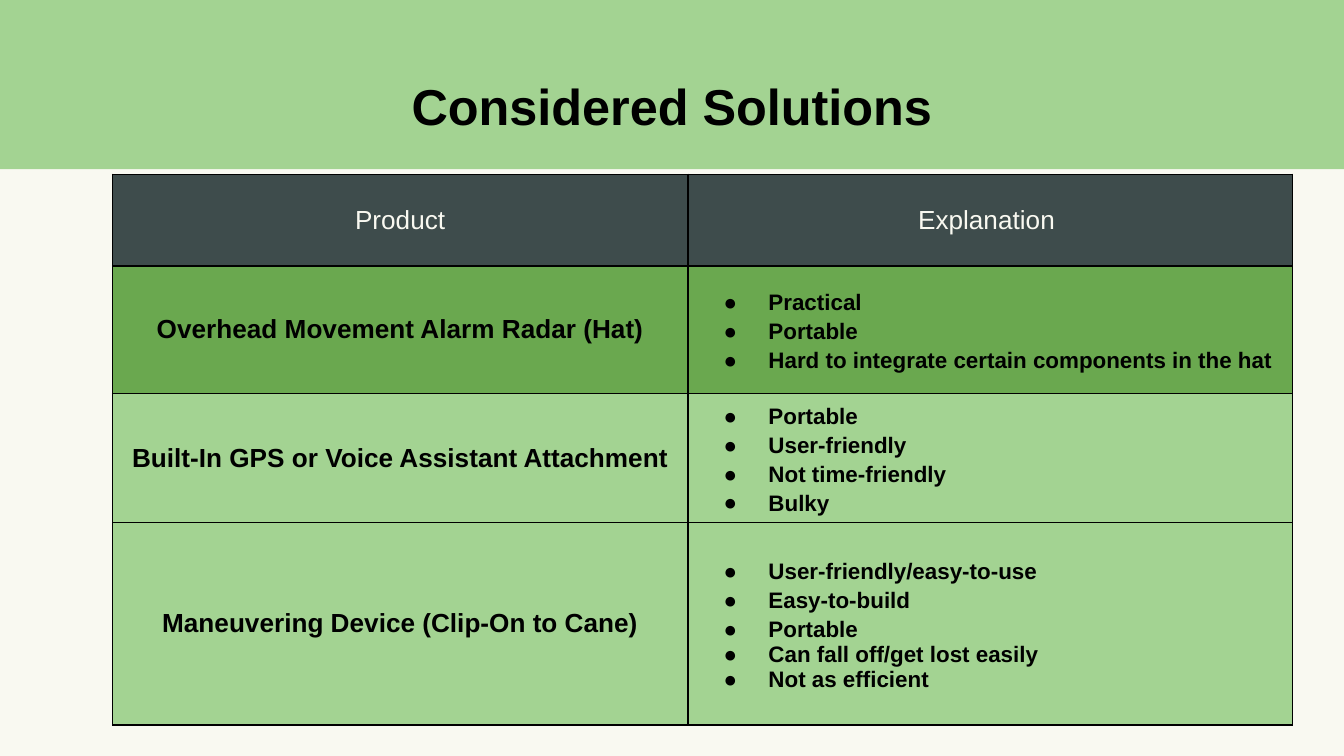
import pptx
import pptx.dml.color
import pptx.enum.shapes
import pptx.enum.text
import pptx.oxml
import pptx.oxml.ns
import pptx.util

Pt = pptx.util.Pt
ALIGN = pptx.enum.text.PP_ALIGN
MIDDLE = pptx.enum.text.MSO_ANCHOR.MIDDLE

COLORS = {
    "paper": "F9F9F1",
    "light": "A3D392",
    "green": "6AA84F",
    "slate": "3E4C4C",
    "ink": "000000",
}
FONT = "Arial"
COL_WIDTHS = [308.2, 324]
ROW_HEIGHTS = [49, 68.4, 68.4, 108.5]
HEADERS = ["Product", "Explanation "]

# Product, row colour, explanation points, number of points with wide spacing
PRODUCTS = [
    ("Overhead Movement Alarm Radar (Hat)", "green",
     ["Practical", "Portable",
      "Hard to integrate certain components in the hat"], 3),
    ("Built-In GPS or Voice Assistant Attachment", "light",
     ["Portable", "User-friendly", "Not time-friendly", "Bulky"], 4),
    ("Maneuvering Device (Clip-On to Cane)", "light",
     ["User-friendly/easy-to-use", "Easy-to-build", "Portable",
      "Can fall off/get lost easily", "Not as efficient"], 3),
]


def rgb(name):
    return pptx.dml.color.RGBColor.from_string(COLORS[name])


def add_xml(parent, xml):
    ns = pptx.oxml.ns.nsdecls("a")
    parent.append(pptx.oxml.parse_xml(xml.replace("NS", ns, 1)))


def add_run(p, text, size, color="ink", bold=True):
    r = p.add_run()
    r.text = text
    r.font.name = FONT
    r.font.size = Pt(size)
    r.font.bold = bold
    r.font.color.rgb = rgb(color)


def add_band(slide, width, height):
    sp = slide.shapes.add_shape(
        pptx.enum.shapes.MSO_SHAPE.RECTANGLE, 0, 0, width, height)
    sp.shadow.inherit = False
    sp.fill.solid()
    sp.fill.fore_color.rgb = rgb("light")
    sp.line.fill.background()
    # Send the band behind the title
    slide.shapes._spTree.insert(2, sp._element)


def set_title(slide, text):
    sp = slide.shapes.title
    sp.left, sp.top, sp.width, sp.height = Pt(57), Pt(43), Pt(606), Pt(31)
    tf = sp.text_frame
    tf.vertical_anchor = MIDDLE
    tf.word_wrap = True
    p = tf.paragraphs[0]
    p.alignment = ALIGN.CENTER
    p.line_spacing = 0.9
    add_run(p, text, 27)


def style_cell(cell, fill):
    cell.vertical_anchor = MIDDLE
    cell.margin_left = cell.margin_right = Pt(7.2)
    cell.margin_top = cell.margin_bottom = Pt(3.6)
    tcPr = cell._tc.get_or_add_tcPr()
    for side in "LRTB":
        add_xml(tcPr, f'<a:ln{side} NS w="{Pt(1)}"><a:solidFill>'
                      f'<a:srgbClr val="{COLORS["ink"]}"/></a:solidFill></a:ln{side}>')
    cell.fill.solid()
    cell.fill.fore_color.rgb = rgb(fill)


def fill_label(cell, text, fill, color="ink", bold=True):
    style_cell(cell, fill)
    p = cell.text_frame.paragraphs[0]
    p.alignment = ALIGN.CENTER
    add_run(p, text, 14, color, bold)


def fill_bullets(cell, points, fill, wide_count):
    style_cell(cell, fill)
    tf = cell.text_frame
    for i, point in enumerate(points):
        p = tf.paragraphs[0] if i == 0 else tf.add_paragraph()
        p.alignment = ALIGN.LEFT
        p.line_spacing = 1.15 if i < wide_count else 1.0
        pPr = p._p.get_or_add_pPr()
        pPr.set("marL", str(Pt(36)))
        pPr.set("indent", str(-Pt(24)))
        add_xml(pPr, f'<a:buClr NS><a:srgbClr val="{COLORS["ink"]}"/></a:buClr>')
        add_xml(pPr, f'<a:buFont NS typeface="{FONT}"/>')
        add_xml(pPr, '<a:buChar NS char="●"/>')
        add_run(p, point, 12)


def add_solutions_table(slide):
    table = slide.shapes.add_table(
        len(ROW_HEIGHTS), len(COL_WIDTHS), Pt(60.3), Pt(93.5),
        Pt(sum(COL_WIDTHS)), Pt(sum(ROW_HEIGHTS))).table
    for col, width in zip(table.columns, COL_WIDTHS):
        col.width = Pt(width)
    for row, height in zip(table.rows, ROW_HEIGHTS):
        row.height = Pt(height)

    # Header row
    for c, text in enumerate(HEADERS):
        fill_label(table.cell(0, c), text, "slate", "paper", bold=False)

    # One row for each product
    for i, (product, fill, points, wide_count) in enumerate(PRODUCTS, 1):
        fill_label(table.cell(i, 0), product, fill)
        fill_bullets(table.cell(i, 1), points, fill, wide_count)


def main():
    prs = pptx.Presentation()
    prs.slide_width, prs.slide_height = Pt(720), Pt(405)
    slide = prs.slides.add_slide(prs.slide_layouts[5])
    slide.background.fill.solid()
    slide.background.fill.fore_color.rgb = rgb("paper")

    add_band(slide, prs.slide_width, Pt(90.6))
    set_title(slide, "Considered Solutions")
    add_solutions_table(slide)
    prs.save("out.pptx")


if __name__ == "__main__":
    main()
